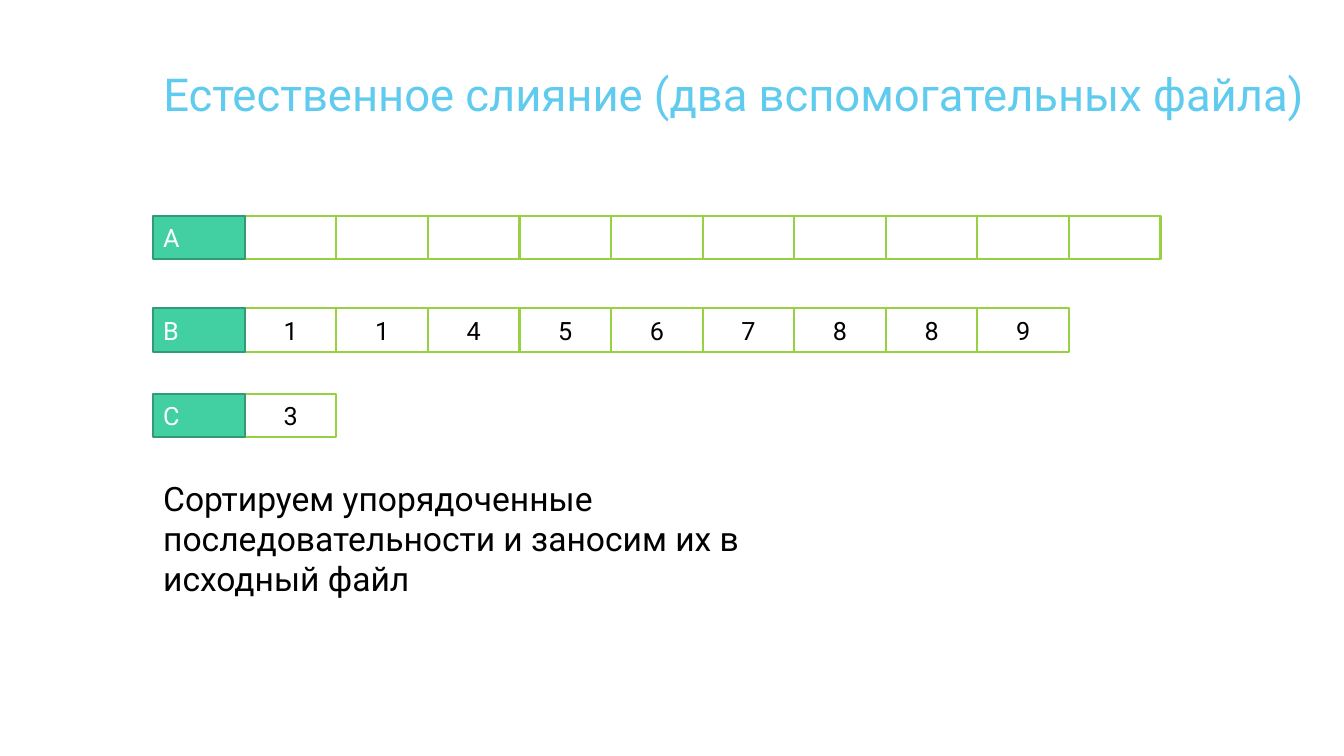
from dataclasses import dataclass

from pptx import Presentation
from pptx.dml.color import RGBColor
from pptx.enum.shapes import MSO_SHAPE
from pptx.enum.text import MSO_ANCHOR, MSO_AUTO_SIZE, PP_ALIGN
from pptx.util import Inches, Pt

RECT = MSO_SHAPE.RECTANGLE
TOP, MIDDLE = MSO_ANCHOR.TOP, MSO_ANCHOR.MIDDLE
LEFT, CENTER = PP_ALIGN.LEFT, PP_ALIGN.CENTER
NO_FIT = MSO_AUTO_SIZE.NONE


@dataclass(frozen=True)
class Theme:
    """Font, type sizes and colours of the slide."""
    font: str = "Roboto"
    title_size: float = 32.4
    body_size: float = 24
    cell_size: float = 18
    title: str = "5FCBEF"
    text: str = "000000"
    white: str = "FFFFFF"
    cell_line: str = "96D141"
    label_fill: str = "42D0A2"
    label_line: str = "319A78"


THEME = Theme()
MARGIN = 1.52
CELL_W, CELL_H = 9.99 / 11, 0.43
FILES = [
    ("A", [""] * 10, 2.14),
    ("B", "114567889", 3.06),
    ("C", "3", 3.91),
]


def set_text(tf, text, size, color, anchor=TOP, align=LEFT):
    """Fill a text frame with one formatted paragraph."""
    tf.word_wrap = True
    tf.auto_size = NO_FIT
    tf.vertical_anchor = anchor
    p = tf.paragraphs[0]
    p.text = text
    p.alignment = align
    p.font.name = THEME.font
    p.font.size = Pt(size)
    p.font.bold = False
    p.font.color.rgb = RGBColor.from_string(color)


def add_title(s, text, x, y, w, h):
    """Place and format the title placeholder."""
    title = s.shapes.title
    title.left, title.top = Inches(x), Inches(y)
    title.width, title.height = Inches(w), Inches(h)
    set_text(title.text_frame, text, THEME.title_size, THEME.title)


def add_cell(s, text, x, y, fill, line, color, align):
    """Add one outlined cell with its text."""
    cell = s.shapes.add_shape(RECT, Inches(x), Inches(y), Inches(CELL_W), Inches(CELL_H))
    cell.shadow.inherit = False
    cell.fill.solid()
    cell.fill.fore_color.rgb = RGBColor.from_string(fill)
    cell.line.color.rgb = RGBColor.from_string(line)
    cell.line.width = Pt(1.5)
    if text:
        set_text(cell.text_frame, text, THEME.cell_size, color, MIDDLE, align)


def add_file_row(s, name, values, x, y):
    """Add a file's value cells and its label in front of them."""
    for i, value in enumerate(values, 1):
        add_cell(s, value, x + i * CELL_W, y, THEME.white, THEME.cell_line, THEME.text, CENTER)
    add_cell(s, name, x, y, THEME.label_fill, THEME.label_line, THEME.white, LEFT)


def add_caption(s, text, x, y, w, h):
    """Add the explanation below the rows."""
    box = s.shapes.add_textbox(Inches(x), Inches(y), Inches(w), Inches(h))
    set_text(box.text_frame, text, THEME.body_size, THEME.text)


def main():
    """Build and save the slide."""
    prs = Presentation()
    prs.slide_width, prs.slide_height = Inches(13.33), Inches(7.5)
    s = prs.slides.add_slide(prs.slide_layouts[5])
    add_title(s, "Естественное слияние (два вспомогательных файла)", MARGIN, 0.61, 12.06, 0.97)
    for name, values, y in FILES:
        add_file_row(s, name, values, MARGIN, y)
    add_caption(
        s,
        "Сортируем упорядоченные последовательности и заносим их в исходный файл",
        MARGIN, 4.69, 7, 1.31,
    )
    prs.save("out.pptx")


if __name__ == "__main__":
    main()
